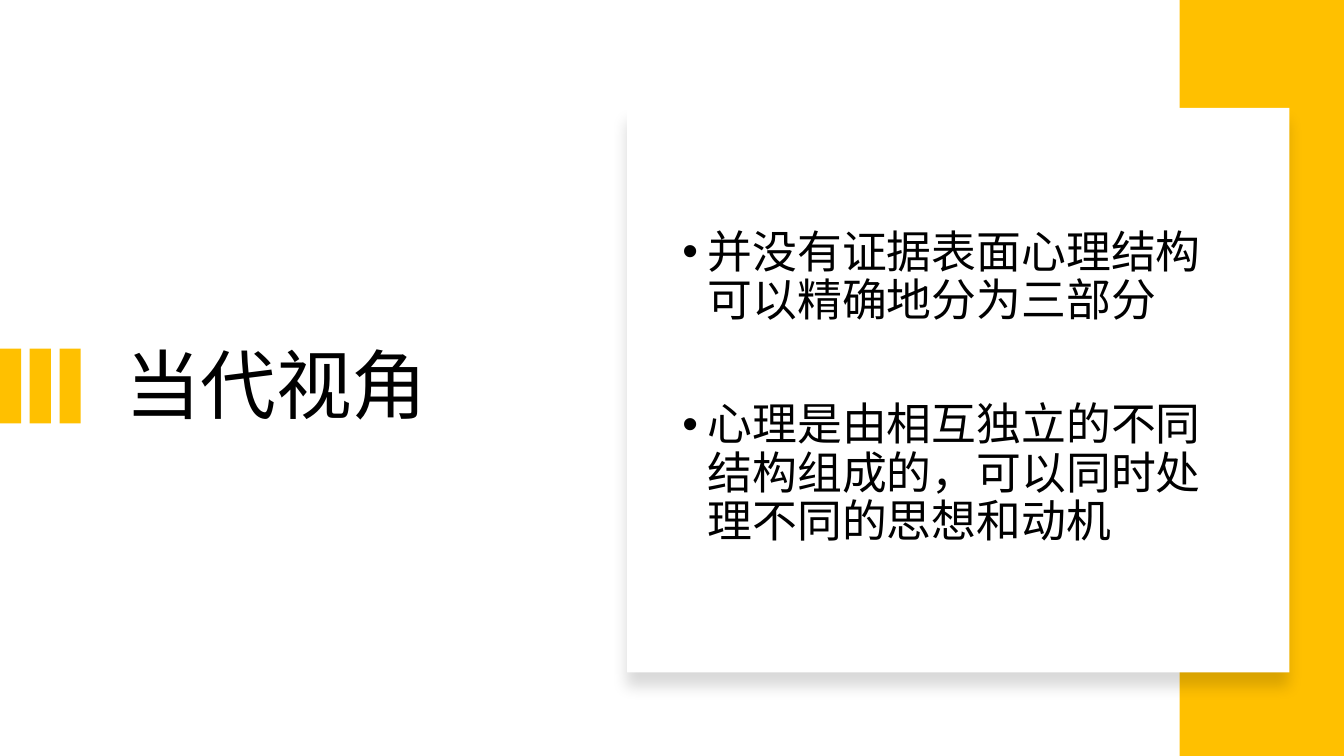
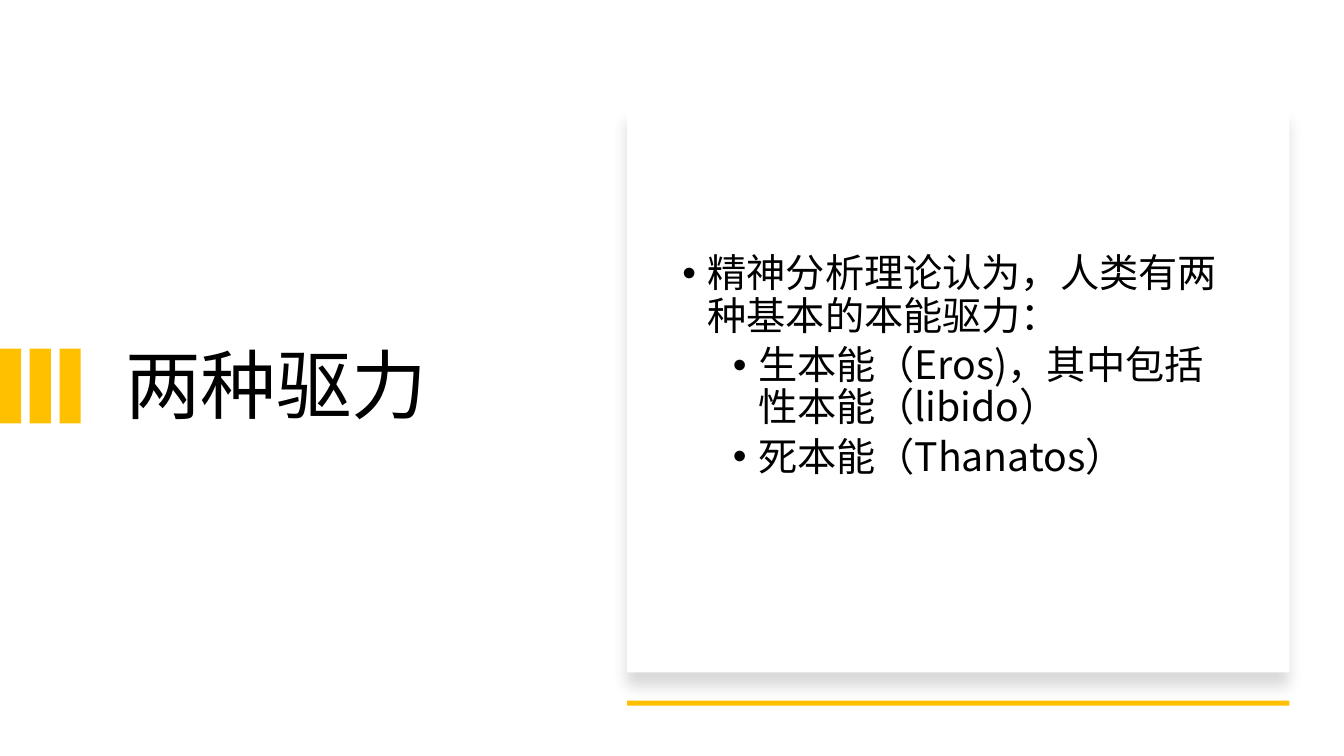
from dataclasses import dataclass

from lxml import etree
from pptx import Presentation
from pptx.dml.color import RGBColor
from pptx.enum.shapes import MSO_SHAPE
from pptx.enum.text import MSO_ANCHOR, MSO_AUTO_SIZE, PP_ALIGN
from pptx.oxml.ns import qn
from pptx.util import Inches, Pt

RECT = MSO_SHAPE.RECTANGLE
MIDDLE = MSO_ANCHOR.MIDDLE
NO_FIT = MSO_AUTO_SIZE.NONE
LEFT = PP_ALIGN.LEFT

TITLE_ONLY = 5
FONT = "Noto Sans CJK SC"
YELLOW, WHITE, BLACK = "FFC000", "FFFFFF", "000000"

SLIDE_W, SLIDE_H = 13.33, 7.5
TEXT_TOP, TEXT_H = 1.46, 4.79
TITLE_BOX = (1.14, TEXT_TOP, 4.26, TEXT_H)
CARD_BOX = (6.22, 1.07, 6.57, 5.6)
BODY_LEFT, BODY_W = 6.67, 5.75
BAR_COUNT, BAR_TOP, BAR_W, BAR_H, BAR_PITCH = 3, 3.46, 0.21, 0.74, 0.295
SIDE_BAND = (11.7, 0, 1.63, SLIDE_H)
CARD_RULE = (6.22, 6.95, 6.57, 0.05)
BULLET_INDENT = 0.25
LEVEL_STEP = 0.5


@dataclass
class Bullet:
    text: str
    level: int = 0
    before: float = 0


@dataclass
class Topic:
    title: str
    bullets: list[Bullet]
    size: int
    band: tuple = ()
    rule: tuple = ()
    lift: float = 0  # inches taken off the bottom of the text area


TOPICS = [
    Topic("当代视角", [
        Bullet("并没有证据表面心理结构可以精确地分为三部分"),
        Bullet("心理是由相互独立的不同结构组成的，可以同时处理不同的思想和动机", before=54),
    ], size=32, band=SIDE_BAND),
    Topic("两种驱力", [
        Bullet("精神分析理论认为，人类有两种基本的本能驱力："),
        Bullet("生本能（Eros)，其中包括性本能（libido）", level=1, before=5),
        Bullet("死本能（Thanatos）", level=1, before=5),
    ], size=28, rule=CARD_RULE, lift=0.43),
]


def rgb(color: str) -> RGBColor:
    return RGBColor.from_string(color)


def inches(box: tuple) -> list:
    return [Inches(v) for v in box]


def add_rect(shapes, box: tuple, color: str):
    shape = shapes.add_shape(RECT, *inches(box))
    shape.shadow.inherit = False
    shape.fill.solid()
    shape.fill.fore_color.rgb = rgb(color)
    shape.line.fill.background()
    return shape


def add_soft_shadow(shape) -> None:
    effects = shape._element.spPr.find(qn("a:effectLst"))
    shadow = etree.SubElement(
        effects, qn("a:outerShdw"), blurRad=str(Pt(11)), dist=str(Pt(10)),
        dir=str(90 * 60000), algn="t", rotWithShape="0")
    color = etree.SubElement(shadow, qn("a:srgbClr"), val=BLACK)
    etree.SubElement(color, qn("a:alpha"), val="15000")


def style_frame(tf) -> None:
    settings = {"word_wrap": True, "auto_size": NO_FIT, "vertical_anchor": MIDDLE}
    for name, value in settings.items():
        setattr(tf, name, value)


def write_text(p, text: str, size: int, before: float = 0) -> None:
    settings = {"alignment": LEFT, "line_spacing": 0.9, "space_before": Pt(before)}
    for name, value in settings.items():
        setattr(p, name, value)
    r = p.add_run()
    r.text = text
    for name, value in {"size": Pt(size), "name": FONT}.items():
        setattr(r.font, name, value)
    r.font.color.rgb = rgb(BLACK)
    latin = r.font._element.find(qn("a:latin"))
    latin.addnext(latin.makeelement(qn("a:ea"), {"typeface": FONT}))


def set_bullet(p, level: int) -> None:
    p.level = level
    pPr = p._p.get_or_add_pPr()
    pPr.set("marL", str(Inches(BULLET_INDENT + level * LEVEL_STEP)))
    pPr.set("indent", str(-Inches(BULLET_INDENT)))
    etree.SubElement(pPr, qn("a:buFont"), typeface="Arial")
    etree.SubElement(pPr, qn("a:buChar"), char="•")


def add_title(s, text: str) -> None:
    title = s.shapes.title
    title.left, title.top, title.width, title.height = inches(TITLE_BOX)
    style_frame(title.text_frame)
    write_text(title.text_frame.paragraphs[0], text, 54)


def add_title_bars(s) -> None:
    group = s.shapes.add_group_shape()
    for i in range(BAR_COUNT):
        add_rect(group.shapes, (i * BAR_PITCH, BAR_TOP, BAR_W, BAR_H), YELLOW)


def add_body(s, topic: Topic) -> None:
    box = (BODY_LEFT, TEXT_TOP, BODY_W, TEXT_H - topic.lift)
    tf = s.shapes.add_textbox(*inches(box)).text_frame
    style_frame(tf)
    for i, bullet in enumerate(topic.bullets):
        p = tf.add_paragraph() if i else tf.paragraphs[0]
        set_bullet(p, bullet.level)
        write_text(p, bullet.text, topic.size, bullet.before)


def add_topic_slide(prs, topic: Topic) -> None:
    s = prs.slides.add_slide(prs.slide_layouts[TITLE_ONLY])
    add_title(s, topic.title)
    add_title_bars(s)
    if topic.band:
        add_rect(s.shapes, topic.band, YELLOW)
    add_soft_shadow(add_rect(s.shapes, CARD_BOX, WHITE))
    add_body(s, topic)
    if topic.rule:
        add_rect(s.shapes, topic.rule, YELLOW)


def main() -> None:
    prs = Presentation()
    prs.slide_width, prs.slide_height = inches((SLIDE_W, SLIDE_H))
    for topic in TOPICS:
        add_topic_slide(prs, topic)
    prs.save("out.pptx")


if __name__ == "__main__":
    main()
